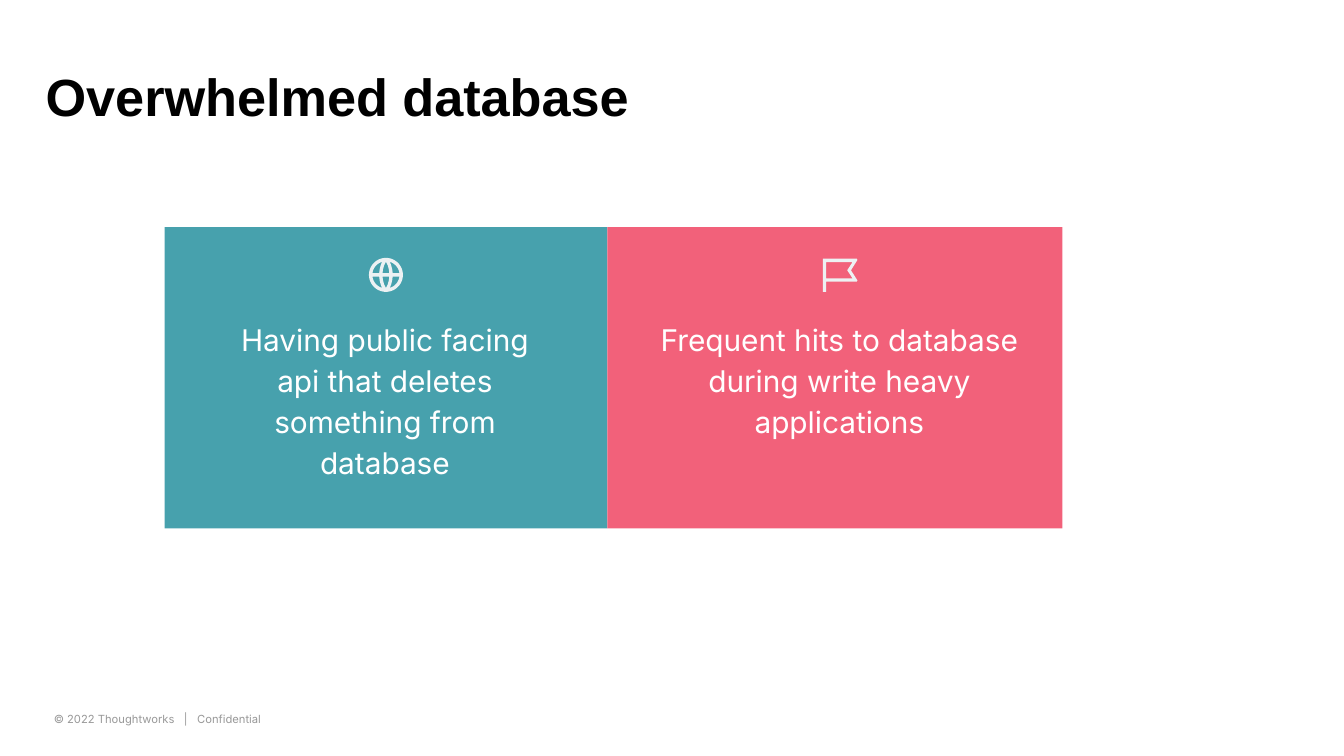
"""Build the "Overwhelmed database" slide with two cause panels."""
from math import atan2, cos, pi, sin

from pptx import Presentation
from pptx.dml.color import RGBColor
from pptx.enum.shapes import MSO_SHAPE
from pptx.enum.text import MSO_ANCHOR, PP_ALIGN
from pptx.util import Pt

BLACK = RGBColor(0x00, 0x00, 0x00)
WHITE = RGBColor(0xFF, 0xFF, 0xFF)
GRAY = RGBColor(0x99, 0x99, 0x99)
ICON_GRAY = RGBColor(0xED, 0xF1, 0xF3)
TEAL = RGBColor(0x47, 0xA1, 0xAD)
PINK = RGBColor(0xF2, 0x61, 0x7A)


def arc(radius, start, end, steps):
    angles = [start + (end - start) * i / steps for i in range(steps + 1)]
    return [(radius * cos(a), radius * sin(a)) for a in angles]


def globe_contours():
    center_cell = [(-1.97, 1), (1.97, 1), (1.75, 3), (1.1, 5.5), (0, 7.75),
                   (-1.1, 5.5), (-1.75, 3)]
    side_cell = [(3.97, 1), (3.7, 3.3), (3.1, 5.6), (2.29, 7.67)]
    side_cell += arc(8, atan2(7.67, 2.29), atan2(1, 7.94), 10)
    contours = [arc(10, 0, 2 * pi, 64)[:-1]]
    for down in (1, -1):
        contours.append([(x, y * down) for x, y in center_cell])
        for across in (1, -1):
            contours.append([(x * across, y * down) for x, y in side_cell])
    return contours


FLAG_CONTOURS = [
    [(-8, 4), (-8, 10), (-10, 10), (-10, -9.5), (10, -9.5), (10.4, -8.8),
     (6.6, -2.7), (10.4, 3.3), (10, 4)],
    [(-8, -7.5), (-8, 2), (7.5, 2), (4.4, -2.7), (7.5, -7.5)],
]

TITLE = "Overwhelmed database"
FOOTER = "© 2022 Thoughtworks   |   Confidential"
PANELS = [
    {"text": "Having public facing api that deletes something from database",
     "color": TEAL, "width": 237.2, "text_left": 119.5, "text_width": 173.5,
     "icon": globe_contours(), "icon_center": 206.8},
    {"text": "Frequent hits to database during write heavy applications",
     "color": PINK, "width": 243.8, "text_left": 339.6, "text_width": 220.3,
     "icon": FLAG_CONTOURS, "icon_center": 449.9},
]
PANELS_LEFT, PANELS_TOP, PANEL_HEIGHT = 88.2, 121.7, 161.4
ICON_MIDDLE, ICON_UNIT = 147.3, 0.91
TEXT_TOP, TEXT_HEIGHT = 169.2, 93


def add_text(slide, box, words, font_name, size, color, bold=False,
             anchor=MSO_ANCHOR.TOP):
    textbox = slide.shapes.add_textbox(*map(Pt, box))
    frame = textbox.text_frame
    frame.word_wrap = True
    frame.vertical_anchor = anchor
    frame.margin_left = frame.margin_right = 0
    frame.margin_top = frame.margin_bottom = 0
    paragraph = frame.paragraphs[0]
    run = paragraph.add_run()
    run.text = words
    run.font.name = font_name
    run.font.size = Pt(size)
    run.font.bold = bold
    run.font.color.rgb = color
    return paragraph


def paint(shape, color):
    shape.shadow.inherit = False
    shape.fill.solid()
    shape.fill.fore_color.rgb = color
    shape.line.fill.background()


def add_icon(slide, contours, center):
    placed = [[(Pt(center + x * ICON_UNIT), Pt(ICON_MIDDLE + y * ICON_UNIT))
               for x, y in contour] for contour in contours]
    builder = slide.shapes.build_freeform(*placed[0][0])
    for contour in placed:
        if contour is not placed[0]:
            builder.move_to(*contour[0])
        builder.add_line_segments(contour[1:], close=True)
    paint(builder.convert_to_shape(), ICON_GRAY)


def main():
    presentation = Presentation()
    presentation.slide_width, presentation.slide_height = Pt(720), Pt(405)
    slide = presentation.slides.add_slide(presentation.slide_layouts[6])

    add_text(slide, (28.8, 375.1, 310.3, 13.7), FOOTER, "Inter", 6, GRAY,
             anchor=MSO_ANCHOR.BOTTOM)
    add_text(slide, (24.5, 34.6, 364.3, 76.3), TITLE, "Arial", 28, BLACK, True)

    left = PANELS_LEFT
    for panel in PANELS:
        rectangle = slide.shapes.add_shape(
            MSO_SHAPE.RECTANGLE, Pt(left), Pt(PANELS_TOP),
            Pt(panel["width"]), Pt(PANEL_HEIGHT))
        paint(rectangle, panel["color"])
        add_icon(slide, panel["icon"], panel["icon_center"])
        reason = add_text(
            slide, (panel["text_left"], TEXT_TOP, panel["text_width"],
                    TEXT_HEIGHT), panel["text"], "Inter", 16, WHITE)
        reason.alignment = PP_ALIGN.CENTER
        reason.line_spacing = 1.15
        reason.space_after = Pt(12)
        left += panel["width"]

    presentation.save("out.pptx")


if __name__ == "__main__":
    main()
